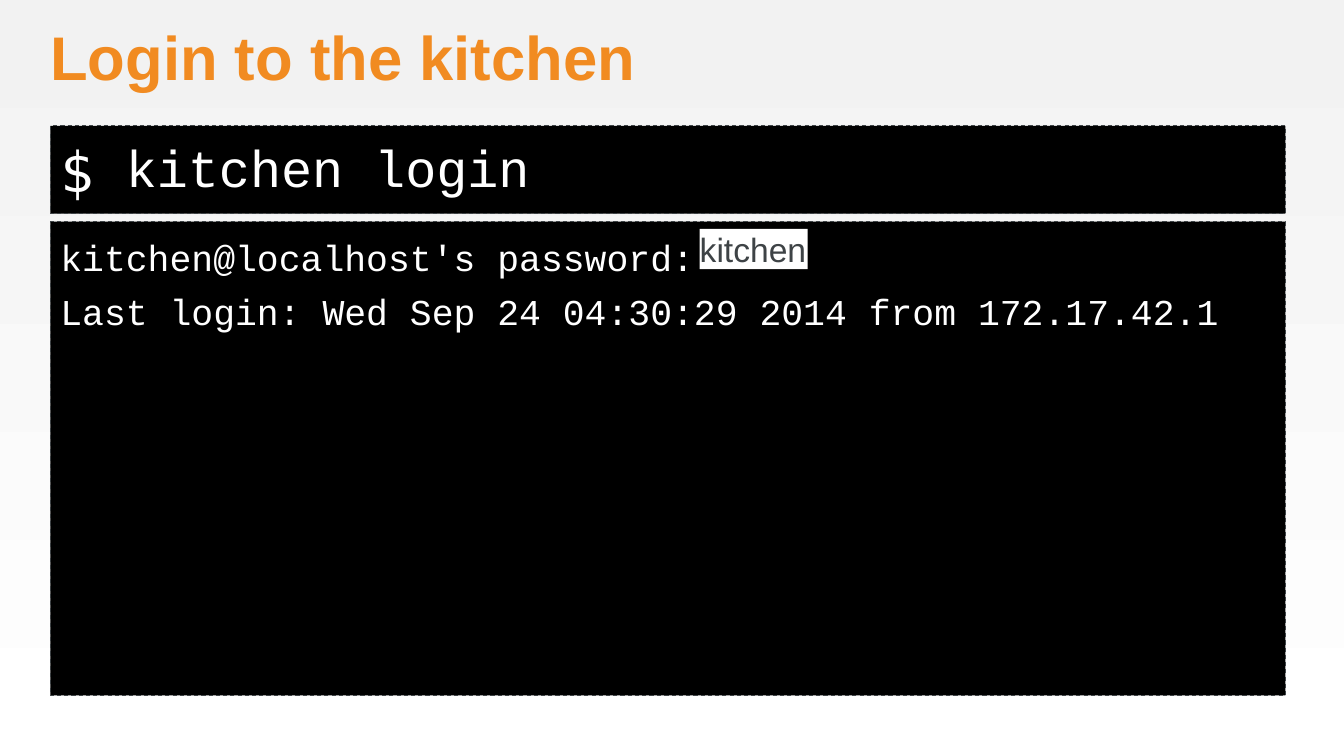
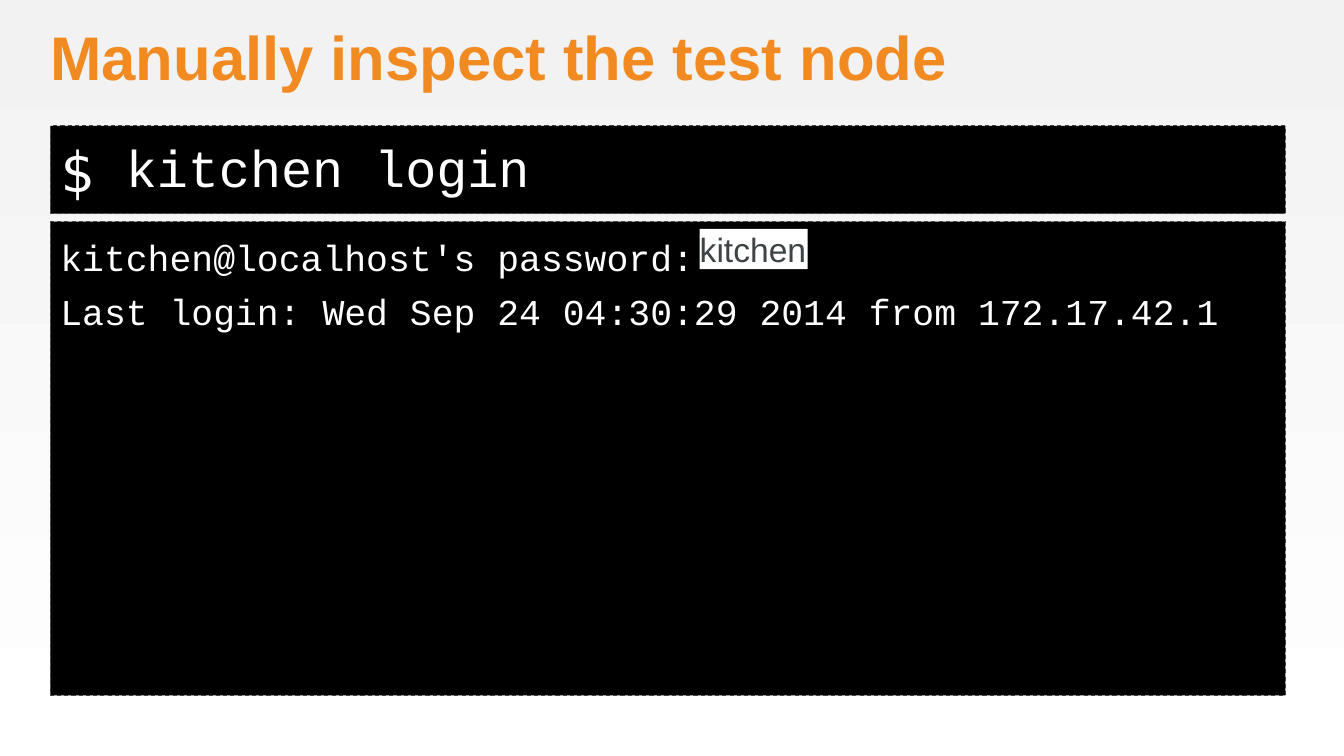
import pptx
import pptx.dml.color
import pptx.enum.dml
import pptx.enum.shapes
import pptx.enum.text
import pptx.util

Inches = pptx.util.Inches
Pt = pptx.util.Pt
Anchor = pptx.enum.text.MSO_ANCHOR

ORANGE = "F18B21"
SLATE = "3E4346"
BLACK = "000000"
WHITE = "FFFFFF"
PALE = "F2F2F2"
CODE_FONT = "Courier New"
LEFT, WIDTH = 0.5, 12.25
TITLES = ["Login to the kitchen", "Manually inspect the test node"]
SESSION = [
    "kitchen@localhost's password:",
    "Last login: Wed Sep 24 04:30:29 2014 from 172.17.42.1",
]


def color(value):
    return pptx.dml.color.RGBColor.from_string(value)


def write(box, lines, size, ink=WHITE, font="Arial", bold=False, anchor=Anchor.TOP,
          margins=(0, 0, 0, 0), spacing=None, gap=0, wrap=True):
    """Fill a box with one paragraph per line; margins run left, top, right, bottom."""
    frame = box.text_frame
    frame.word_wrap = wrap
    frame.auto_size = pptx.enum.text.MSO_AUTO_SIZE.NONE
    frame.vertical_anchor = anchor
    (frame.margin_left, frame.margin_top,
     frame.margin_right, frame.margin_bottom) = map(Inches, margins)
    for index, line in enumerate(lines):
        para = frame.add_paragraph() if index else frame.paragraphs[0]
        para.alignment = pptx.enum.text.PP_ALIGN.LEFT
        para.line_spacing = spacing
        para.space_before = Pt(gap if index else 0)
        span = para.add_run()
        span.text = line
        span.font.name = font
        span.font.size = Pt(size)
        span.font.bold = bold
        span.font.color.rgb = color(ink)


def add_panel(page, left, top, width, height, fill, dashed=True):
    panel = page.shapes.add_shape(
        pptx.enum.shapes.MSO_SHAPE.RECTANGLE,
        Inches(left), Inches(top), Inches(width), Inches(height))
    panel.shadow.inherit = False
    panel.fill.solid()
    panel.fill.fore_color.rgb = color(fill)
    if dashed:
        panel.line.color.rgb = color(SLATE)
        panel.line.width = Pt(0.75)
        panel.line.dash_style = pptx.enum.dml.MSO_LINE.DASH
    else:
        panel.line.fill.background()
    return panel


deck = pptx.Presentation()
deck.slide_width = Inches(13.33)
deck.slide_height = Inches(7.5)

backdrop = deck.slide_master.background.fill
backdrop.gradient()
backdrop.gradient_angle = 270
for stop, shade in zip(backdrop.gradient_stops, (PALE, WHITE)):
    stop.color.rgb = color(shade)

for heading in TITLES:
    page = deck.slides.add_slide(deck.slide_layouts[5])

    title = page.shapes.title
    title.left, title.top = Inches(LEFT), Inches(0.25)
    title.width, title.height = Inches(WIDTH), Inches(0.68)
    write(title, [heading], 44, ink=ORANGE, bold=True, anchor=Anchor.BOTTOM, spacing=0.9)

    prompt = add_panel(page, LEFT, 1.25, WIDTH, 0.87, BLACK)
    write(prompt, ["$"], 40, font="DejaVu Sans Mono", anchor=Anchor.MIDDLE,
          margins=(0.1, 0.05, 0.1, 0.05))

    command = page.shapes.add_textbox(Inches(1.15), Inches(1.34), Inches(11.56), Inches(0.6))
    write(command, ["kitchen login"], 37, font=CODE_FONT,
          margins=(0.1, 0.08, 0.1, 0), spacing=0.9)

    terminal = add_panel(page, LEFT, 2.2, WIDTH, 4.7, BLACK)
    write(terminal, SESSION, 26, font=CODE_FONT,
          margins=(0.1, 0.13, 0.1, 0.05), gap=7.5)

    password = add_panel(page, 6.94, 2.27, 1.07, 0.4, WHITE, dashed=False)
    write(password, ["kitchen"], 24, ink=SLATE, anchor=Anchor.MIDDLE, wrap=False)

deck.save("out.pptx")
